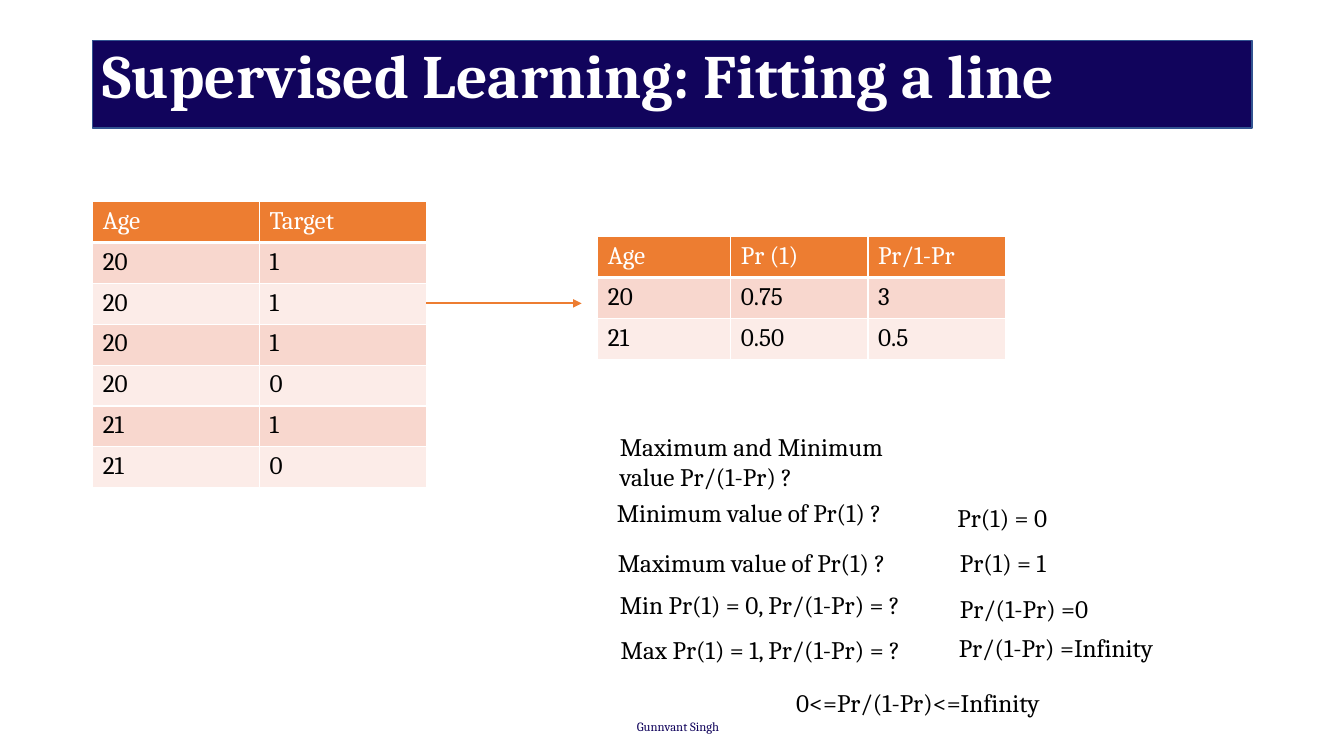
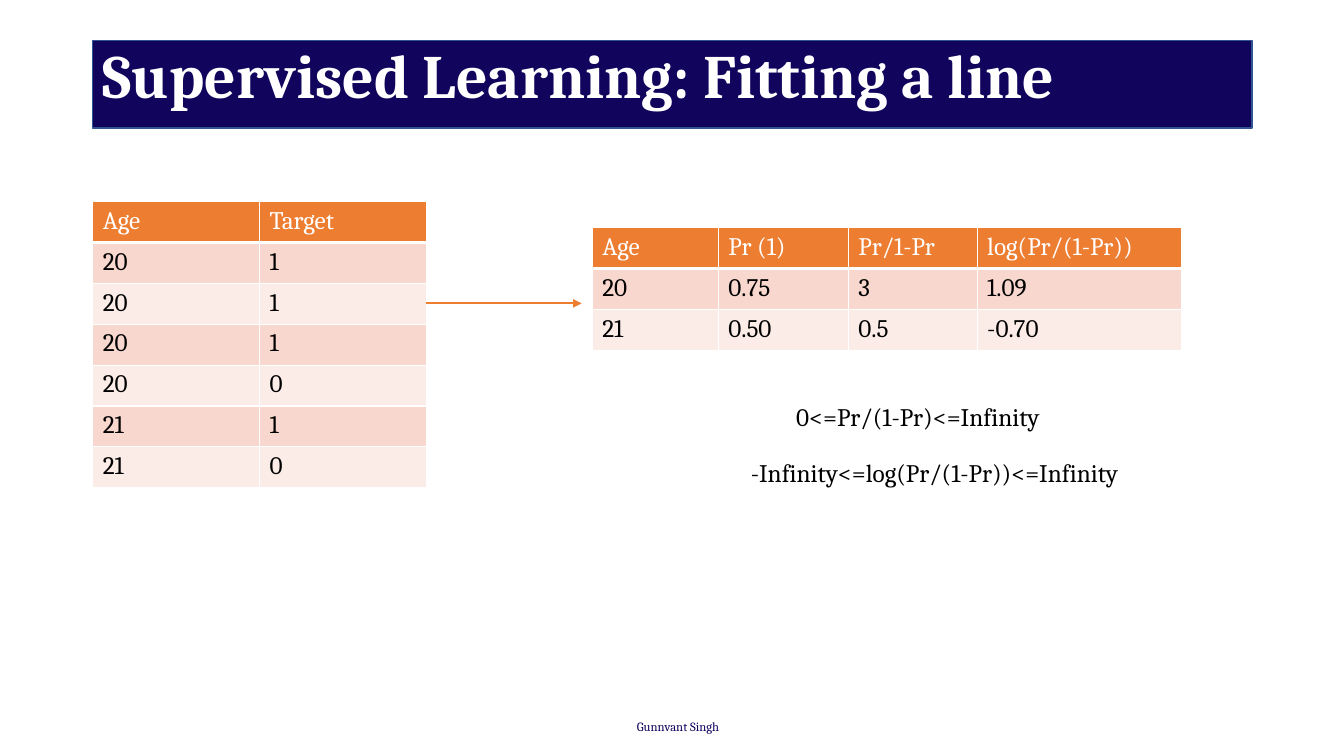
from dataclasses import dataclass
from typing import NamedTuple

from lxml.etree import SubElement
from pptx import Presentation
from pptx.dml.color import RGBColor
from pptx.enum.shapes import MSO_CONNECTOR as Connector, MSO_SHAPE as Preset
from pptx.enum.text import MSO_ANCHOR as Anchor, MSO_AUTO_SIZE as AutoSize, PP_ALIGN as Align
from pptx.oxml.ns import qn
from pptx.slide import Slide, SlideLayout
from pptx.text.text import TextFrame
from pptx.util import Pt


@dataclass(frozen=True)
class Theme:
    font: str = "Cambria"
    navy: str = "11045C"
    band_line: str = "325491"
    accent: str = "ED7D31"
    row_tints: tuple[str, str] = ("F8D7CE", "FCECE8")
    light: str = "FFFFFF"
    dark: str = "000000"
    title_size: float = 44
    text_size: float = 18
    footer_size: float = 9


class Box(NamedTuple):
    left: float
    top: float
    width: float
    height: float

    def lengths(self) -> list[Pt]:
        return [Pt(value) for value in self]


class Note(NamedTuple):
    text: str
    left: float
    top: float
    width: float


class Grid(NamedTuple):
    left: float
    top: float
    columns: tuple[float, ...]
    rows: tuple[tuple[str, ...], ...]


THEME = Theme()
TITLE = "Supervised Learning: Fitting a line"
TITLE_BOX = Box(66.24, 28.8, 828, 104.4)
BAND = TITLE_BOX._replace(height=62.64)
FOOTER = Box(447.84, 509.76, 77.76, 18)
ROW_HEIGHT = 29.2
NOTE_HEIGHT = 29
ARROW_START, ARROW_END, ARROW_Y = 304.56, 415.44, 216.72

PEOPLE = Grid(66.24, 144, (119.2, 119.2), (
    ("Age", "Target"),
    ("20", "1"), ("20", "1"), ("20", "1"), ("20", "0"),
    ("21", "1"), ("21", "0"),
))
ODDS = Grid(427, 169, (95, 98, 98), (
    ("Age", "Pr (1)", "Pr/1-Pr"),
    ("20", "0.75", "3"),
    ("21", "0.50", "0.5"),
))
LOG_ODDS = Grid(423, 162.6, (90, 93, 92, 146), tuple(
    row + (value,)
    for row, value in zip(ODDS.rows, ("log(Pr/(1-Pr))", "1.09", "-0.70"))
))
ODDS_RANGE = Note("0<=Pr/(1-Pr)<=Infinity", 561.6, 487.4, 200)

SLIDES: tuple[tuple[Grid, tuple[Note, ...]], ...] = (
    (ODDS, (
        Note("Maximum and Minimum value Pr/(1-Pr) ?", 435.6, 304.6, 226),
        Note("Minimum value of Pr(1) ?", 433.5, 351.4, 226),
        Note("Maximum value of Pr(1) ?", 434.2, 387.4, 226),
        Note("Min Pr(1) = 0, Pr/(1-Pr) = ?", 435.6, 417.6, 242),
        Note("Max Pr(1) = 1, Pr/(1-Pr) = ?", 436.3, 449.3, 242),
        Note("Pr(1) = 0", 676.8, 355.4, 90),
        Note("Pr(1) = 1", 678.6, 387.4, 90),
        Note("Pr/(1-Pr) =0", 678.6, 420.5, 134),
        Note("Pr/(1-Pr) =Infinity", 677.8, 448, 167),
        ODDS_RANGE,
    )),
    (LOG_ODDS, (
        ODDS_RANGE._replace(top=283),
        Note("-Infinity<=log(Pr/(1-Pr))<=Infinity", 529.2, 323.3, 290),
    )),
)


def rgb(color: str) -> RGBColor:
    return RGBColor.from_string(color)


def write(frame: TextFrame, text: str, *, size: float = THEME.text_size,
          color: str = THEME.dark, bold: bool = False, spacing: float = 1) -> None:
    frame.word_wrap = True
    frame.vertical_anchor = Anchor.TOP
    paragraph = frame.paragraphs[0]
    paragraph.alignment = Align.LEFT
    paragraph.line_spacing = spacing
    run = paragraph.add_run()
    run.text = text
    run.font.name = THEME.font
    run.font.size = Pt(size)
    run.font.bold = bold
    run.font.color.rgb = rgb(color)


def add_text(slide: Slide, text: str, box: Box, *, size: float = THEME.text_size,
             color: str = THEME.dark):
    shape = slide.shapes.add_textbox(*box.lengths())
    write(shape.text_frame, text, size=size, color=color)
    shape.text_frame.auto_size = AutoSize.SHAPE_TO_FIT_TEXT
    return shape


def prepare_layout(layout: SlideLayout) -> None:
    """Place the title and drop the template's unused footer placeholders."""
    title, *unused = layout.placeholders
    title.left, title.top, title.width, title.height = TITLE_BOX.lengths()
    for placeholder in unused:
        layout.shapes.element.remove(placeholder.element)


def move_furniture_to_layout(slide: Slide) -> None:
    """Draw the band and footer on a slide, then hand them to its layout."""
    band = slide.shapes.add_shape(Preset.RECTANGLE, *BAND.lengths())
    band.shadow.inherit = False
    band.fill.solid()
    band.fill.fore_color.rgb = rgb(THEME.navy)
    band.line.color.rgb = rgb(THEME.band_line)
    band.line.width = Pt(1)
    footer = add_text(slide, "Gunnvant Singh", FOOTER,
                      size=THEME.footer_size, color=THEME.navy)
    for shape in (band, footer):
        slide.slide_layout.shapes.element.append(shape.element)


def add_borders(cell, bottom: float) -> None:
    properties = cell._tc.get_or_add_tcPr()
    for side, width in (("L", 1), ("R", 1), ("T", 1), ("B", bottom)):
        line = SubElement(properties, qn(f"a:ln{side}"), w=str(Pt(width)))
        fill = SubElement(line, qn("a:solidFill"))
        SubElement(fill, qn("a:srgbClr"), val=THEME.light)


def add_grid(slide: Slide, grid: Grid) -> None:
    box = Box(grid.left, grid.top, sum(grid.columns), ROW_HEIGHT * len(grid.rows))
    table = slide.shapes.add_table(
        len(grid.rows), len(grid.columns), *box.lengths()).table
    for column, width in zip(table.columns, grid.columns):
        column.width = Pt(width)
    for index, values in enumerate(grid.rows):
        is_header = index == 0
        table.rows[index].height = Pt(ROW_HEIGHT)
        fill = THEME.accent if is_header else THEME.row_tints[(index - 1) % 2]
        for cell, value in zip(table.rows[index].cells, values):
            add_borders(cell, bottom=3 if is_header else 1)
            cell.fill.solid()
            cell.fill.fore_color.rgb = rgb(fill)
            write(cell.text_frame, value,
                  color=THEME.light if is_header else THEME.dark)


def add_arrow(slide: Slide) -> None:
    arrow = slide.shapes.add_connector(
        Connector.STRAIGHT, Pt(ARROW_START), Pt(ARROW_Y), Pt(ARROW_END), Pt(ARROW_Y))
    arrow.line.color.rgb = rgb(THEME.accent)
    arrow.line.width = Pt(1.5)
    SubElement(arrow.line._get_or_add_ln(), qn("a:tailEnd"), type="triangle")
    SubElement(arrow.element.spPr, qn("a:effectLst"))


def main() -> None:
    presentation = Presentation()
    presentation.slide_width, presentation.slide_height = Pt(960), Pt(540)
    layout = presentation.slide_layouts.get_by_name("Title Only")
    prepare_layout(layout)
    for number, (grid, notes) in enumerate(SLIDES):
        slide = presentation.slides.add_slide(layout)
        if number == 0:
            move_furniture_to_layout(slide)
        write(slide.shapes.title.text_frame, TITLE, size=THEME.title_size,
              color=THEME.light, bold=True, spacing=0.9)
        add_grid(slide, PEOPLE)
        add_grid(slide, grid)
        add_arrow(slide)
        for note in notes:
            add_text(slide, note.text,
                     Box(note.left, note.top, note.width, NOTE_HEIGHT))
    presentation.save("out.pptx")


if __name__ == "__main__":
    main()
